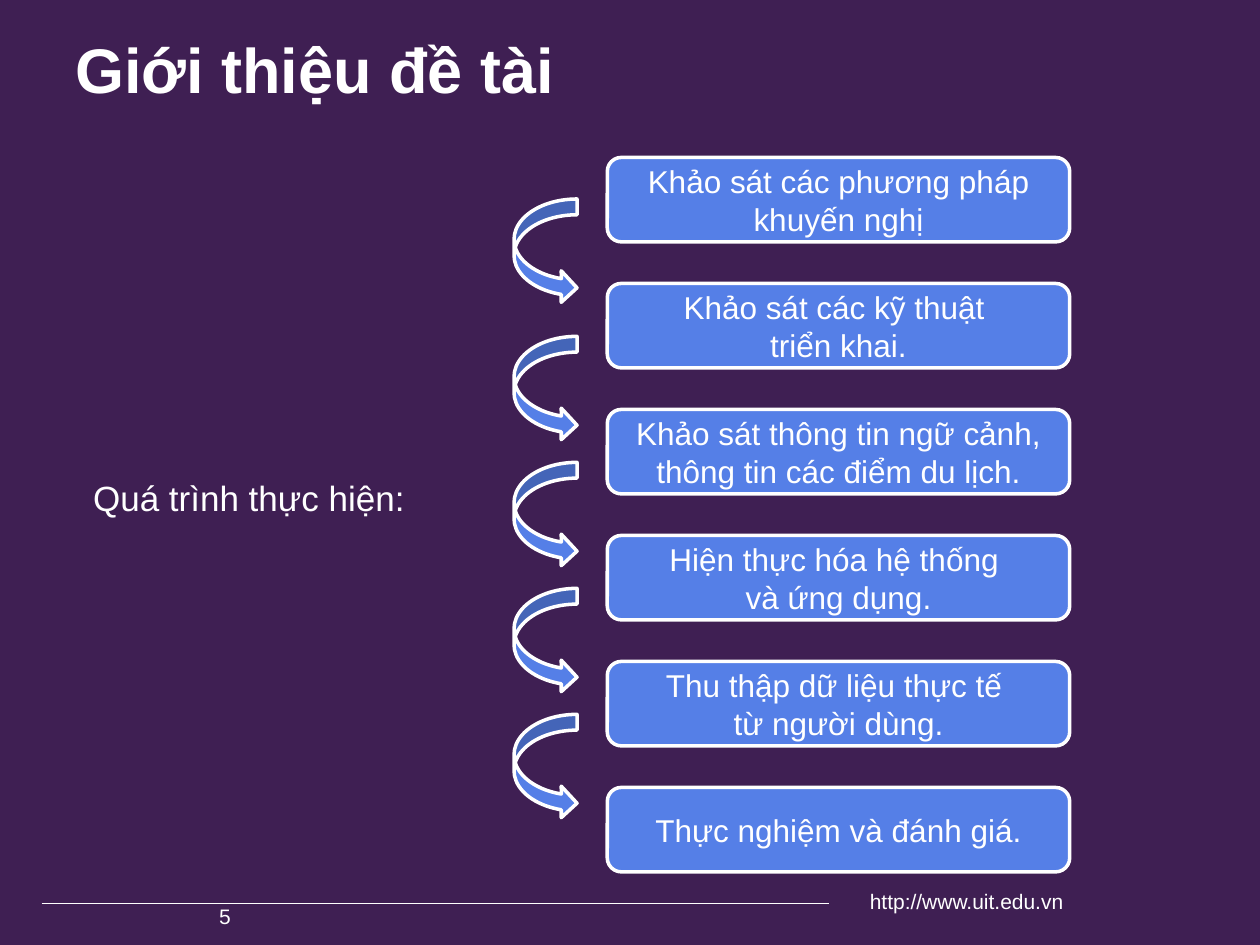
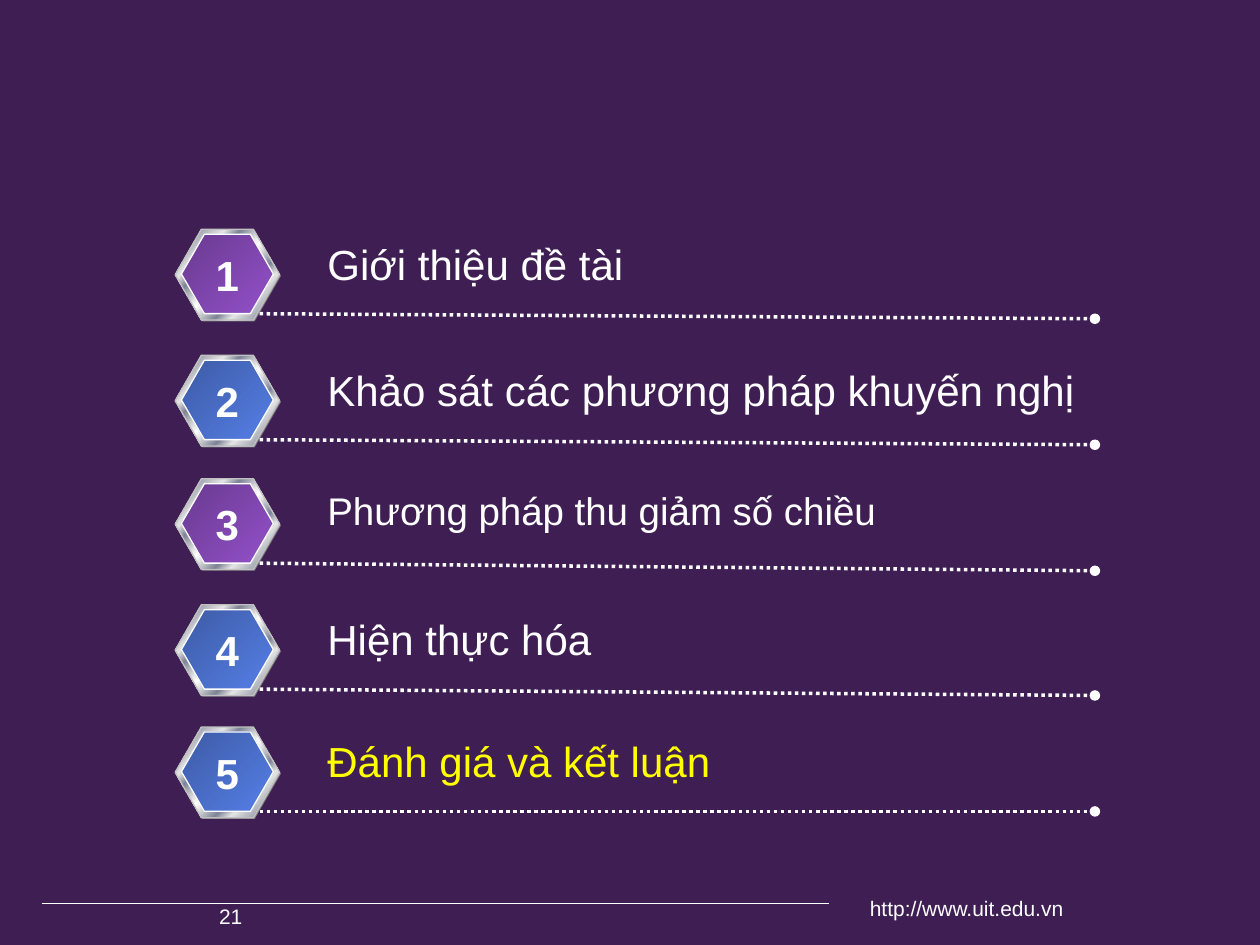
from lxml.etree import SubElement
from pptx import Presentation
from pptx.dml.color import RGBColor
from pptx.enum.dml import MSO_LINE as DASH
from pptx.enum.shapes import MSO_CONNECTOR as LINK, MSO_SHAPE as SHAPE
from pptx.enum.text import MSO_ANCHOR as ANCHOR, PP_ALIGN as ALIGN
from pptx.oxml import parse_xml
from pptx.oxml.ns import nsdecls, qn
from pptx.util import Inches, Pt

WIDTH, HEIGHT = 10, 7.5
FONT = "Arial"
PLUM, WHITE, BLUE, YELLOW = "3F1F53", "FFFFFF", "557FE7", "FFFF00"
GREY, SILVER = "808080", "C0C0C0"
PURPLE_FACE = [(0, "693A90"), (100, "9351C9")]
BLUE_FACE = [(0, "3D5BA5"), (100, BLUE)]
METAL = [(0, "E6E6E6"), (7, "7D8496"), (26, "E6E6E6"), (34, "7D8496"), (46, "E6E6E6"),
         (50, WHITE), (54, "E6E6E6"), (66, "7D8496"), (74, "E6E6E6"), (93, "7D8496"),
         (100, "E6E6E6")]

SITE = "http://www.uit.edu.vn"
TITLE = "Giới thiệu đề tài"
PROCESS = "Quá trình thực hiện:"
STEPS = [
    ["Khảo sát các phương pháp khuyến nghị"],
    ["Khảo sát các kỹ thuật ", "triển khai."],
    ["Khảo sát thông tin ngữ cảnh, thông tin các điểm du lịch."],
    ["Hiện thực hóa hệ thống ", "và ứng dụng."],
    ["Thu thập dữ liệu thực tế ", "từ người dùng."],
    ["Thực nghiệm và đánh giá."],
]
STEP_TOP, STEP_PITCH = 1.25, 1
ARROW_TOPS = [1.58] + [1.67 + STEP_PITCH * i for i in range(1, len(STEPS) - 1)]

# (heading, top, text width, size, colour, face, rule drop)
AGENDA = [
    ("Giới thiệu đề tài", 1.82, 2.58, 24, WHITE, PURPLE_FACE, 0.04),
    ("Khảo sát các phương pháp khuyến nghị", 2.82, 6.19, 24, WHITE, BLUE_FACE, 0.04),
    ("Phương pháp thu giảm số chiều", 3.8, 4.7, 22, WHITE, PURPLE_FACE, 0.06),
    ("Hiện thực hóa", 4.8, 2.32, 24, WHITE, BLUE_FACE, 0.05),
    ("Đánh giá và kết luận", 5.77, 3.27, 24, YELLOW, BLUE_FACE, 0),
]


def rgb(code):
    return RGBColor.from_string(code)


def write(frame, lines, size, color=WHITE, bold=False, align=ALIGN.LEFT,
          anchor=ANCHOR.TOP, wrap=True):
    frame.word_wrap = wrap
    frame.vertical_anchor = anchor
    paragraph = frame.paragraphs[0]
    paragraph.alignment = align
    for i, line in enumerate(lines):
        if i:
            paragraph.add_line_break()
        run = paragraph.add_run()
        run.text = line
        run.font.name, run.font.size, run.font.bold = FONT, Pt(size), bold
        run.font.color.rgb = rgb(color)


def label(slide, box, text, size, **style):
    area = slide.shapes.add_textbox(*map(Inches, box))
    write(area.text_frame, [text], size, **style)


def draw(shapes, kind, box, fill, line=None, weight=2):
    shape = shapes.add_shape(kind, *map(Inches, box))
    shape.shadow.inherit = False
    if isinstance(fill, str):
        shape.fill.solid()
        shape.fill.fore_color.rgb = rgb(fill)
    else:
        stops = "".join(f'<a:gs pos="{pos * 1000}"><a:srgbClr val="{code}"/></a:gs>'
                        for pos, code in fill)
        gradient = parse_xml(f'<a:gradFill {nsdecls("a")} rotWithShape="1"><a:gsLst>{stops}'
                             '</a:gsLst><a:lin ang="2700000" scaled="1"/></a:gradFill>')
        shape.element.spPr.find(qn("a:prstGeom")).addnext(gradient)
    if line:
        shape.line.color.rgb = rgb(line)
        shape.line.width = Pt(weight)
    else:
        shape.line.fill.background()
    return shape


def rule(slide, start, end, weight, dotted=False):
    line = slide.shapes.add_connector(LINK.STRAIGHT, *map(Inches, start + end))
    line.line.color.rgb = rgb(WHITE)
    line.line.width = Pt(weight)
    if dotted:
        line.line.dash_style = DASH.ROUND_DOT
        SubElement(line.line._get_or_add_ln(), qn("a:tailEnd"), type="oval")
    SubElement(line.element.spPr, qn("a:effectLst"))


def new_slide(deck, number, site_top):
    slide = deck.slides.add_slide(deck.slide_layouts[6])
    rule(slide, (0.33, 7.17), (6.58, 7.17), 0.5)
    label(slide, (6.58, site_top, 1.96, 0.34), SITE, 12, align=ALIGN.RIGHT)
    label(slide, (1.64, 7.12, 1.42, 0.27), str(number), 12)
    return slide


def process_slide(deck):
    slide = new_slide(deck, 5, 7)
    label(slide, (0.5, 0.29, 7.96, 0.5), TITLE, 36, bold=True, anchor=ANCHOR.MIDDLE)
    for i, step in enumerate(STEPS):
        box = (4.82, STEP_TOP + STEP_PITCH * i, 3.67, 0.67)
        card = draw(slide.shapes, SHAPE.ROUNDED_RECTANGLE, box, BLUE, WHITE)
        write(card.text_frame, step, 18, align=ALIGN.CENTER, anchor=ANCHOR.MIDDLE)
    for top in ARROW_TOPS:
        draw(slide.shapes, SHAPE.CURVED_RIGHT_ARROW, (4.08, top, 0.5, 0.83), BLUE, WHITE)
    label(slide, (0.64, 3.73, 2.69, 0.44), PROCESS, 20, wrap=False)


def agenda_slide(deck):
    slide = new_slide(deck, 21, 7.06)
    for number, (heading, top, width, size, color, face, drop) in enumerate(AGENDA, 1):
        badge = slide.shapes.add_group_shape().shapes
        layers = [((1.4, top + 0.01, 0.83, 0.72), GREY, None),
                  ((1.39, top, 0.83, 0.72), METAL, SILVER),
                  ((1.44, top + 0.04, 0.73, 0.63), face, WHITE)]
        for box, fill, line in layers:
            hexagon = draw(badge, SHAPE.HEXAGON, box, fill, line, 0.75)
            hexagon.adjustments[0] = 0.289
        rule(slide, (2.06, top + 0.67), (8.69, top + 0.67 + drop), 2, dotted=True)
        label(slide, (2.5, top + 0.02, width, 0.5), heading, size, color=color, wrap=False)
        label(slide, (1.61, top + 0.11, 0.39, 0.5), str(number), 24, bold=True,
              align=ALIGN.CENTER, wrap=False)


def main():
    """Build the process slide and the agenda slide."""
    deck = Presentation()
    deck.slide_width, deck.slide_height = Inches(WIDTH), Inches(HEIGHT)
    backdrop = deck.slide_master.background.fill
    backdrop.solid()
    backdrop.fore_color.rgb = rgb(PLUM)
    process_slide(deck)
    agenda_slide(deck)
    deck.save("out.pptx")


if __name__ == "__main__":
    main()
